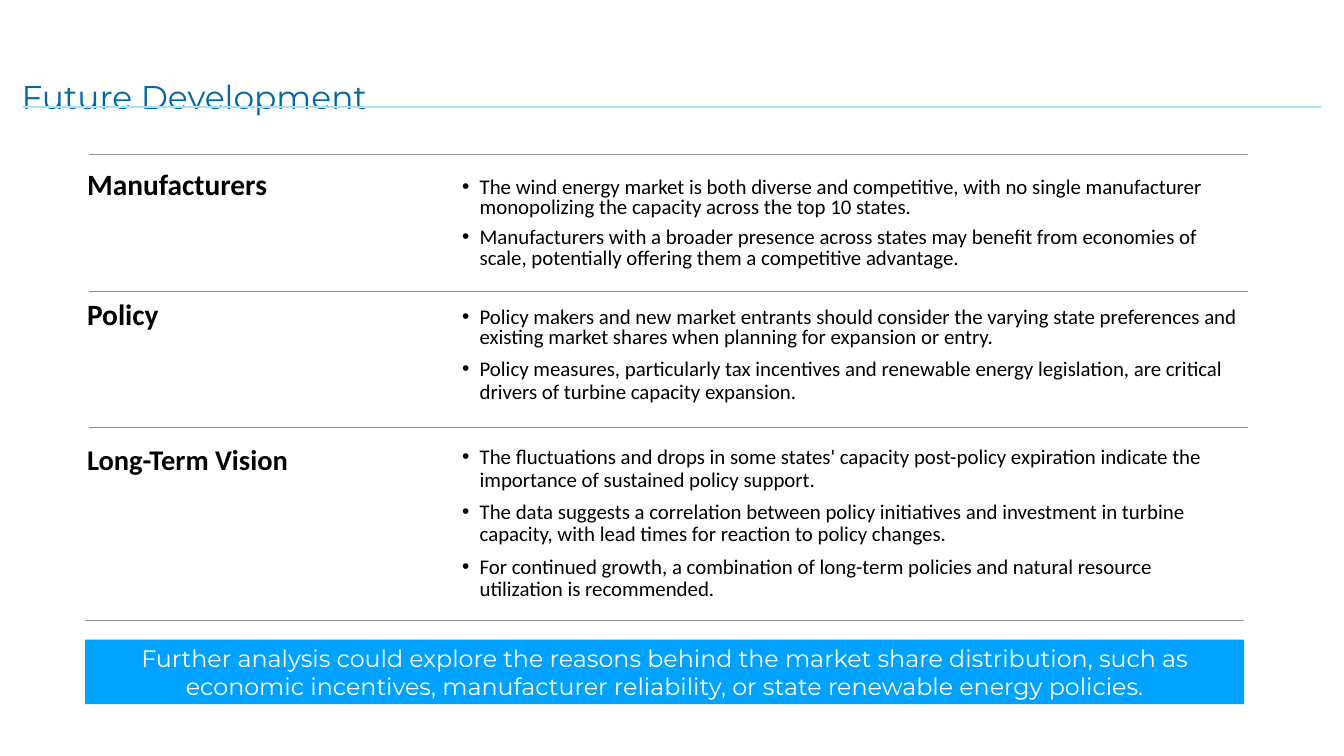
from lxml.etree import SubElement
from pptx import Presentation
from pptx.dml.color import RGBColor
from pptx.enum.shapes import MSO_CONNECTOR, MSO_SHAPE
from pptx.enum.text import MSO_ANCHOR, PP_ALIGN
from pptx.oxml.ns import qn
from pptx.util import Inches, Pt

WIDTH, HEIGHT = 26.67, 15
LEFT, SPAN = 1.77, 23
BODY_COL = 7.3
TITLE = dict(name="Montserrat", size=Pt(47), color="0168A6")
BANNER = dict(name="Montserrat", size=Pt(34), color="FFFFFF")
HEADING = dict(name="Calibri", size=Pt(42), color="000000", bold=True)
BODY = dict(name="Calibri", size=Pt(29.8), color="000000")

SECTIONS = [
    dict(heading="Manufacturers", height=2.71, heading_dy=0.27, body_dy=0.38,
         size=42, spacing=(0.81, 0.81), points=[
             "The wind energy market is both diverse and competitive, with no single manufacturer "
             "monopolizing the capacity across the top 10 states.",
             "Manufacturers with a broader presence across states may benefit from economies of "
             "scale, potentially offering them a competitive advantage."]),
    dict(heading="Policy", height=2.71, heading_dy=0.13, body_dy=0.25,
         size=42, spacing=(0.81, 0.9), points=[
             "Policy makers and new market entrants should consider the varying state preferences "
             "and existing market shares when planning for expansion or entry.",
             "Policy measures, particularly tax incentives and renewable energy legislation, are "
             "critical drivers of turbine capacity expansion."]),
    dict(heading="Long-Term Vision", height=3.83, heading_dy=0.32, body_dy=0.28,
         size=40.7, spacing=(0.9, 0.9, 0.9), points=[
             "The fluctuations and drops in some states' capacity post-policy expiration indicate "
             "the importance of sustained policy support.",
             "The data suggests a correlation between policy initiatives and investment in turbine "
             "capacity, with lead times for reaction to policy changes.",
             "For continued growth, a combination of long-term policies and natural resource "
             "utilization is recommended."]),
]


def rgb(value):
    """Turn a hex string into a colour."""
    return RGBColor.from_string(value)


def set_frame(tf, inset, anchor=MSO_ANCHOR.TOP):
    """Set wrapping, anchor and equal insets of a text frame."""
    tf.word_wrap = True
    tf.vertical_anchor = anchor
    for side in ("left", "top", "right", "bottom"):
        setattr(tf, f"margin_{side}", Inches(inset))


def add_run(p, text, fmt):
    """Add a run with the given font format."""
    r = p.add_run()
    r.text = text
    for key, value in fmt.items():
        if key == "color":
            r.font.color.rgb = rgb(value)
        else:
            setattr(r.font, key, value)


def add_text(s, box, inset, anchor=MSO_ANCHOR.TOP):
    """Add an empty text box and return its frame."""
    tf = s.shapes.add_textbox(*map(Inches, box)).text_frame
    set_frame(tf, inset, anchor)
    return tf


def add_rule(s, x, y, width, color, weight):
    """Draw a horizontal rule."""
    ln = s.shapes.add_connector(MSO_CONNECTOR.STRAIGHT, *map(Inches, (x, y, x + width, y)))
    ln.line.color.rgb = rgb(color)
    ln.line.width = Pt(weight)
    SubElement(ln._element.spPr, qn("a:effectLst"))


def add_bullet(p):
    """Give a paragraph a hanging bullet."""
    pPr = p._p.get_or_add_pPr()
    pPr.set("marL", str(Inches(0.35)))
    pPr.set("indent", str(-Inches(0.35)))
    SubElement(pPr, qn("a:buFont"), typeface="Arial")
    SubElement(pPr, qn("a:buChar"), char="•")


def add_title(s, x, y, width, height):
    """Place the slide title and the rule through it."""
    tf = add_text(s, (x, y, width, height), 0.06, MSO_ANCHOR.MIDDLE)
    add_run(tf.paragraphs[0], "Future Development", TITLE)
    add_rule(s, x + 0.09, y + 1.14, 25.75, "A9E0FA", 2)


def add_section(s, x, y, section):
    """Place a rule, a heading and its bullet points."""
    add_rule(s, x, y, SPAN, "929292", 0.75)
    tf = add_text(s, (x - 0.14, y + section["heading_dy"], 4.76, 1.06), 0.1)
    p = tf.paragraphs[0]
    p.line_spacing = 0.81
    add_run(p, section["heading"], HEADING | dict(size=Pt(section["size"])))
    top = section["body_dy"]
    tf = add_text(s, (x + BODY_COL, y + top, 15.57, section["height"] - top), 0.1)
    for i, (text, spacing) in enumerate(zip(section["points"], section["spacing"])):
        p = tf.add_paragraph() if i else tf.paragraphs[0]
        add_bullet(p)
        p.line_spacing = spacing
        p.space_before = Pt(14 if i else 0)
        add_run(p, text, BODY)


def add_banner(s, x, y, width, height):
    """Place the closing rule and the filled banner below it."""
    add_rule(s, x, y, width, "929292", 0.75)
    sp = s.shapes.add_shape(MSO_SHAPE.RECTANGLE, *map(Inches, (x, y + 0.38, width, height)))
    sp.shadow.inherit = False
    sp.fill.solid()
    sp.fill.fore_color.rgb = rgb("00A2FF")
    sp.line.fill.background()
    set_frame(sp.text_frame, 0.06, MSO_ANCHOR.MIDDLE)
    p = sp.text_frame.paragraphs[0]
    p.alignment = PP_ALIGN.CENTER
    add_run(p, "Further analysis could explore the reasons behind the market share distribution, "
               "such as economic incentives, manufacturer reliability, or state renewable energy "
               "policies.", BANNER)


def main():
    """Build and save the slide."""
    prs = Presentation()
    prs.slide_width, prs.slide_height = Inches(WIDTH), Inches(HEIGHT)
    s = prs.slides.add_slide(prs.slide_layouts[6])
    add_title(s, 0.37, 0.98, 20.19, 1.86)
    y = 3.06
    for section in SECTIONS:
        add_section(s, LEFT, y, section)
        y += section["height"]
    add_banner(s, LEFT - 0.08, y, SPAN, 1.28)
    prs.save("out.pptx")


if __name__ == "__main__":
    main()
